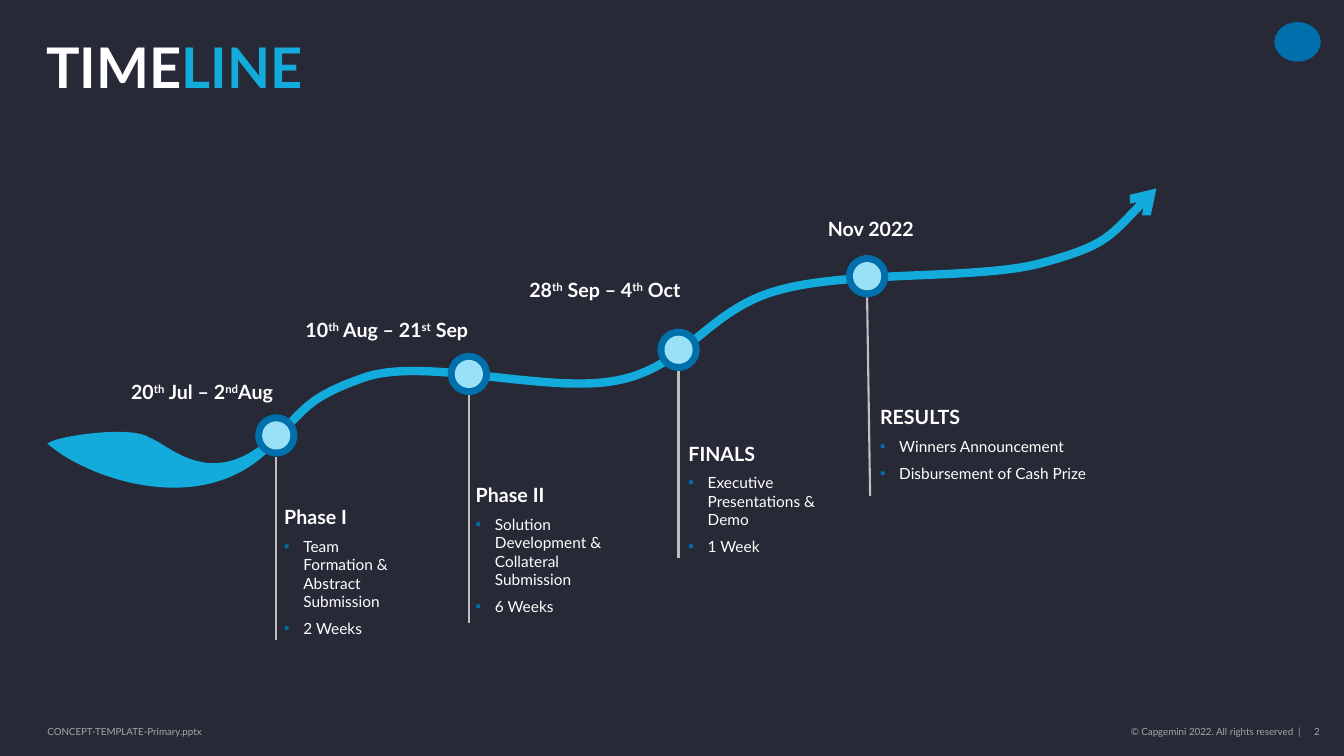
import math
from lxml import etree
from pptx import Presentation
from pptx import util as u
from pptx.dml.color import RGBColor
from pptx.enum import shapes, text
from pptx.oxml.ns import qn

PX = 9144
WHITE, CYAN, BLUE, PALE, GREY, SILVER = "FFFFFF", "12ABDB", "0070AD", "9AE1F7", "A6A6A6", "BFBFBF"
rgb = RGBColor.from_string

prs = Presentation()
prs.slide_width, prs.slide_height = 1333 * PX, 750 * PX
s = prs.slides.add_slide(prs.slide_layouts[6])
s.background.fill.solid()
s.background.fill.fore_color.rgb = rgb("272936")


def add_text(box, paragraphs, margins=(0, 0), anchor=text.MSO_ANCHOR.TOP, align=text.PP_ALIGN.LEFT):
    tf = s.shapes.add_textbox(*[v * PX for v in box]).text_frame
    side, edge = [m * PX for m in margins]
    frame = {"word_wrap": True, "vertical_anchor": anchor, "margin_left": side,
             "margin_right": side, "margin_top": edge, "margin_bottom": edge}
    for name, value in frame.items():
        setattr(tf, name, value)
    for i, runs in enumerate(paragraphs):
        p = tf.add_paragraph() if i else tf.paragraphs[0]
        p.alignment = align
        for words, size, bold, color in runs:
            r = p.add_run()
            r.text = words
            for name, value in {"name": "Lato", "size": u.Pt(size), "bold": bold}.items():
                setattr(r.font, name, value)
            r.font.color.rgb = rgb(color)
    return tf


def add_curve(box, start, curves, turn=0, closed=False):
    x, y, w, h = box
    fb = s.shapes.build_freeform(x * PX, y * PX)
    fb.add_line_segments([((x + w) * PX, y * PX), ((x + w) * PX, (y + h) * PX)], close=False)
    sp = fb.convert_to_shape()
    sp.shadow.inherit = False
    sp.rotation = turn
    outline = sp._element.spPr.find(".//" + qn("a:path"))
    for segment in list(outline):
        outline.remove(segment)
    cos, sin = math.cos(math.radians(turn)), math.sin(math.radians(turn))
    for tag, points in [("a:moveTo", [start])] + [("a:cubicBezTo", c) for c in curves]:
        segment = etree.SubElement(outline, qn(tag))
        for px, py in points:
            dx, dy = px - x - w / 2, py - y - h / 2
            etree.SubElement(segment, qn("a:pt"),
                             x=str(round((w / 2 + dx * cos + dy * sin) * PX)),
                             y=str(round((h / 2 - dx * sin + dy * cos) * PX)))
    if closed:
        etree.SubElement(outline, qn("a:close"))
    return sp


badge = s.shapes.add_shape(shapes.MSO_SHAPE.OVAL, 1264 * PX, 22 * PX, 46 * PX, 39 * PX)
badge.shadow.inherit = False
badge.fill.solid()
badge.fill.fore_color.rgb = rgb(BLUE)
badge.line.fill.background()

middle, right = text.MSO_ANCHOR.MIDDLE, text.PP_ALIGN.RIGHT
add_text((1284, 715, 25, 22), [[("2", 7, False, GREY)]], (0, 5), align=right)
add_text((794, 714, 496, 24), [[("© Capgemini 2022. All rights reserved  |", 7, False, GREY)]],
         anchor=middle, align=right)
add_text((43, 714, 335, 24), [[("CONCEPT-TEMPLATE-Primary.pptx", 7, False, GREY)]], (4, 4), middle)
title = add_text((46, 22, 1333, 78), [[("TIME", 40, True, WHITE), ("LINE", 40, True, CYAN)]],
                 anchor=text.MSO_ANCHOR.BOTTOM)
title.paragraphs[0].line_spacing = 0.9

road = add_curve((272, 187, 876, 247), (272, 434), [
    ((303, 409), (300, 396), (360, 375)), ((420, 353), (545, 392), (614, 377)),
    ((682, 363), (702, 307), (772, 288)), ((842, 268), (971, 278), (1033, 261)),
    ((1096, 244), (1105, 230), (1147, 187))])
road.fill.background()
road.line.color.rgb = rgb(CYAN)
road.line.width = u.Pt(6)
etree.SubElement(road.line._get_or_add_ln(), qn("a:tailEnd"), type="arrow")

leaf = add_curve((46, 431, 223, 52), (268, 446), [
    ((271, 441), (272, 438), (262, 439)), ((206, 485), (166, 440), (148, 434)),
    ((131, 422), (57, 432), (47, 440)), ((82, 472), (198, 517), (268, 446))], 183.6, True)
leaf.fill.solid()
leaf.fill.fore_color.rgb = rgb(CYAN)
leaf.line.fill.background()

milestones = [
    ((274, 432), (274, 635), (130, 377, 194, 24), ["20", "th", " Jul – 2", "nd", "Aug"],
     (272, 496, 139, 139), ["Phase I", "Team Formation & Abstract Submission", "2 Weeks"]),
    ((465, 371), (465, 618), (303, 315, 216, 24), ["10", "th", " Aug – 21", "st", " Sep"],
     (462, 474, 167, 144), ["Phase II", "Solution Development & Collateral Submission", "6 Weeks"]),
    ((673, 347), (673, 554), (525, 276, 168, 24), ["28", "th", " Sep – 4", "th", " Oct"],
     (673, 433, 168, 121), ["FINALS", "Executive Presentations & Demo", "1 Week"]),
    ((860, 274), (863, 492), (821, 215, 119, 24), ["Nov 2022"],
     (863, 397, 329, 91), ["RESULTS", "Winners Announcement", "Disbursement of Cash Prize"]),
]
for (x, y), (foot_x, foot_y), date_box, date, detail_box, details in milestones:
    stem = s.shapes.add_connector(shapes.MSO_CONNECTOR.STRAIGHT, x * PX, (y + 21) * PX,
                                  foot_x * PX, foot_y * PX)
    stem.line.color.rgb = rgb(SILVER)
    stem.line.width = u.Pt(1.5)
    etree.SubElement(stem._element.spPr, qn("a:effectLst"))
    for radius, color in ((21, BLUE), (14, PALE)):
        dot = s.shapes.add_shape(shapes.MSO_SHAPE.OVAL, (x - radius) * PX, (y - radius) * PX,
                                 2 * radius * PX, 2 * radius * PX)
        dot.shadow.inherit = False
        dot.rotation = 54.7
        dot.fill.solid()
        dot.fill.fore_color.rgb = rgb(color)
        dot.line.fill.background()

    tf = add_text(date_box, [[(part, 14, True, WHITE) for part in date]])
    for r in tf.paragraphs[0].runs[1::2]:
        r.font._element.set("baseline", "30000")

    heading, *items = details
    tf = add_text(detail_box, [[(heading, 14, True, WHITE)]]
                  + [[(item, 11, False, WHITE)] for item in items], (10, 5))
    for i, p in enumerate(tf.paragraphs):
        p.space_after = u.Pt(6)
        if i:
            pPr = p._p.get_or_add_pPr()
            pPr.set("marL", str(19 * PX))
            pPr.set("indent", str(-19 * PX))
            etree.SubElement(etree.SubElement(pPr, qn("a:buClr")), qn("a:srgbClr"), val=BLUE)
            etree.SubElement(pPr, qn("a:buFont"), typeface="Arial")
            etree.SubElement(pPr, qn("a:buChar"), char="▪")

prs.save("out.pptx")
